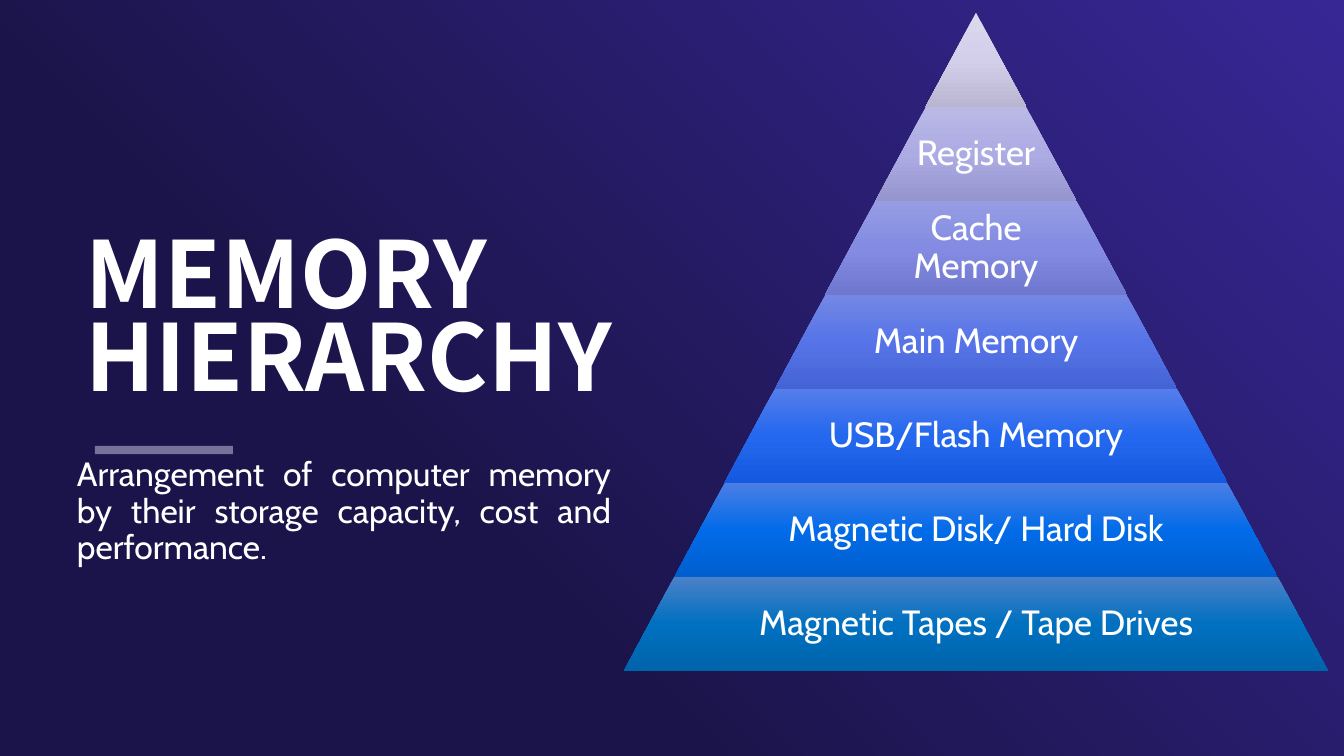
from copy import deepcopy
from dataclasses import dataclass

from lxml import etree
from pptx import Presentation
from pptx import util as u
from pptx.dml.color import RGBColor
from pptx.enum import shapes, text
from pptx.oxml.ns import qn

PX = u.Inches(1) / 100.8


@dataclass(frozen=True)
class Theme:
    heading_font: str = "Noto Sans CJK KR"
    body_font: str = "Cabin"
    heading_size: int = 66
    body_size: int = 24
    tier_size: int = 25
    ink: str = "FFFFFF"
    rule: str = "D4D0E9"
    backdrop: tuple = ((0.33, "1B144A"), (1, "362795"))


TIERS = [
    ("", ("DCD8ED", "D3CFEA", "BAB6D2")),
    ("Register", ("BAB9E6", "ADABE4", "9795CE")),
    ("Cache Memory", ("969DE3", "838BE3", "6F77CF")),
    ("Main Memory", ("7388E5", "5674E7", "4463D5")),
    ("USB/Flash Memory", ("557DEB", "2468EF", "1559DF")),
    ("Magnetic Disk/ Hard Disk", ("4B7EE6", "026BE8", "005FCF")),
    ("Magnetic Tapes / Tape Drives", ("4B81C8", "0070C0", "0064AB")),
]


def px(*lengths):
    return [u.Emu(round(length * PX)) for length in lengths]


class SlideBuilder:
    def __init__(self, slide, theme):
        self.slide = slide
        self.theme = theme

    def gradient(self, fill, element, stops, angle):
        fill.gradient()
        fill.gradient_angle = angle
        stop_list = element.find(".//" + qn("a:gsLst"))
        while len(stop_list) < len(stops):
            stop_list.append(deepcopy(stop_list[-1]))
        for stop, (position, color) in zip(fill.gradient_stops, stops):
            stop.position = position
            stop.color.rgb = RGBColor.from_string(color)

    def background(self):
        fill = self.slide.background.fill
        self.gradient(fill, self.slide.element, self.theme.backdrop, 45)

    def rule(self, left, right, y, points, opacity):
        line = self.slide.shapes.add_connector(
            shapes.MSO_CONNECTOR.STRAIGHT, *px(left, y, right, y))
        line.line.width = u.Pt(points)
        line.line.color.rgb = RGBColor.from_string(self.theme.rule)
        properties = line.element.spPr
        color = properties.find(".//" + qn("a:srgbClr"))
        etree.SubElement(color, qn("a:alpha"), val=str(opacity * 1000))
        etree.SubElement(properties, qn("a:effectLst"))

    def text(self, bounds, words, font, size, spacing, align,
             anchor=text.MSO_ANCHOR.TOP, bold=False, inset=None):
        box = self.slide.shapes.add_textbox(*px(*bounds))
        frame = box.text_frame
        frame.word_wrap = True
        frame.vertical_anchor = anchor
        if inset is not None:
            margin = px(inset)[0]
            frame.margin_left = frame.margin_right = margin
            frame.margin_top = frame.margin_bottom = margin
        para = frame.paragraphs[0]
        para.alignment = align
        para.line_spacing = spacing
        span = para.add_run()
        span.text = words
        span.font.name = font
        span.font.size = u.Pt(size)
        span.font.bold = bold
        span.font.color.rgb = RGBColor.from_string(self.theme.ink)

    def tier(self, bounds, colors, slant):
        shape = self.slide.shapes.add_shape(
            shapes.MSO_SHAPE.TRAPEZOID, *px(*bounds))
        shape.shadow.inherit = False
        shape.adjustments[0] = slant
        shape.line.fill.background()
        stops = list(zip((0, 0.5, 1), colors))
        self.gradient(shape.fill, shape.element, stops, 270)

    def pyramid(self, center, top, base, tier_height, tiers):
        step = base / len(tiers)
        for index, (label, colors) in enumerate(tiers):
            width = round(step * (index + 1))
            y = top + index * tier_height
            self.tier((center - width / 2, y, width, tier_height),
                      colors, step / 2 / tier_height)
            if label:
                label_width = round(width * 0.65)
                self.text(
                    (center - label_width / 2, y, label_width, tier_height),
                    label, self.theme.body_font, self.theme.tier_size, 0.9,
                    text.PP_ALIGN.CENTER, text.MSO_ANCHOR.MIDDLE, inset=3)


def main():
    deck = Presentation()
    deck.slide_width, deck.slide_height = px(1344, 756)
    theme = Theme()
    page = SlideBuilder(deck.slides.add_slide(deck.slide_layouts[6]), theme)
    page.background()
    page.rule(95, 233, 450, 6, 50)
    page.text((76, 98, 568, 315), "MEMORY HIERARCHY", theme.heading_font,
              theme.heading_size, 0.75, text.PP_ALIGN.LEFT,
              text.MSO_ANCHOR.BOTTOM, bold=True)
    page.pyramid(976, 13, 704, 94, TIERS)
    page.text((67, 453, 554, 165),
              "Arrangement of computer memory by their storage capacity, "
              "cost and performance.",
              theme.body_font, theme.body_size, 0.9, text.PP_ALIGN.JUSTIFY)
    deck.save("out.pptx")


if __name__ == "__main__":
    main()
